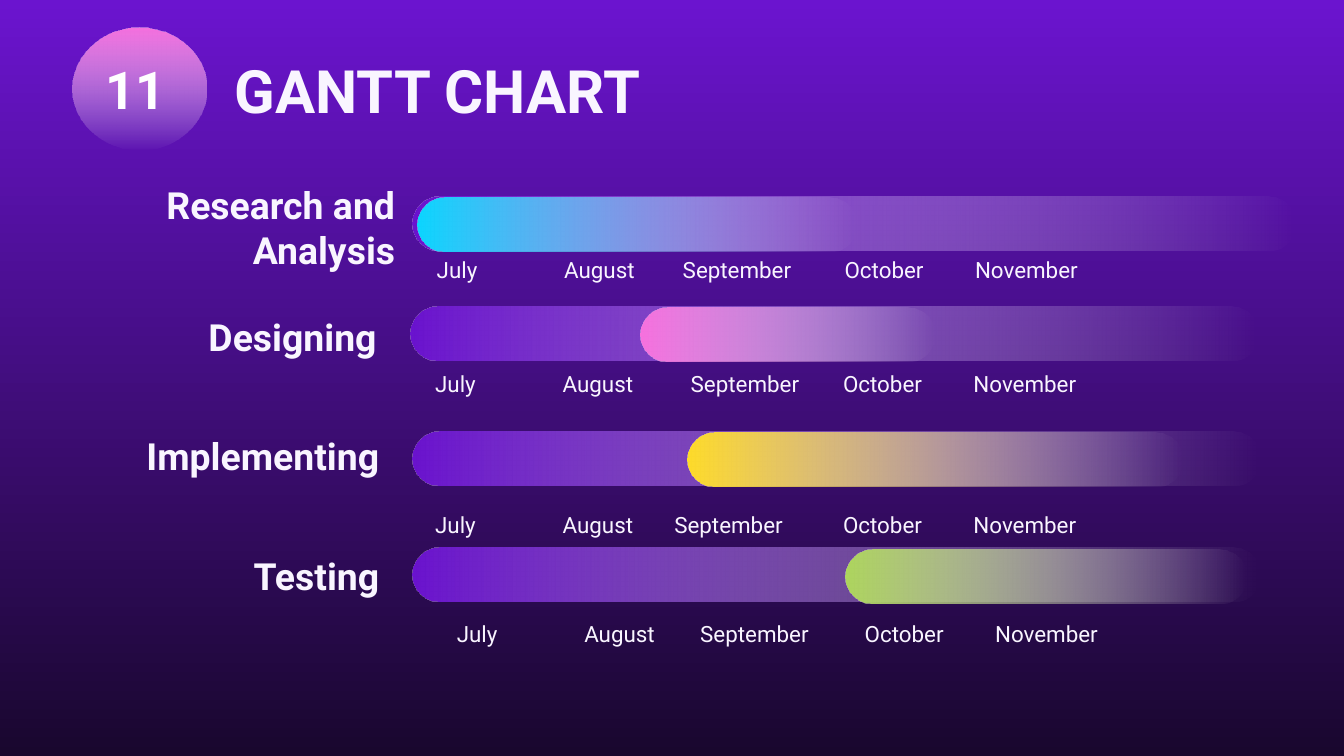
import pptx
import pptx.dml.color
import pptx.enum.shapes
import pptx.enum.text
import pptx.oxml
import pptx.util
from lxml import etree

Cm = pptx.util.Cm
RGBColor = pptx.dml.color.RGBColor
Align = pptx.enum.text.PP_ALIGN
Shape = pptx.enum.shapes.MSO_SHAPE

VIOLET = RGBColor(0x6B, 0x14, 0xCF)
MIDNIGHT = RGBColor(0x19, 0x07, 0x2E)
LAVENDER = RGBColor(0xF9, 0xF5, 0xFF)
WHITE = RGBColor(0xFF, 0xFF, 0xFF)
CYAN = RGBColor(0x0C, 0xD7, 0xFF)
PINK = RGBColor(0xF7, 0x72, 0xDF)
YELLOW = RGBColor(0xFF, 0xDC, 0x2A)
GREEN = RGBColor(0xAE, 0xD5, 0x5E)

MONTHS = ("July", "August", "September", "October", "November")
MONTH_STEP = 2.69
BAR_HEIGHT = 1.02

# name, track (left, top, width), bar (left, width, colour), label (left, top, width), months (left, top, September shift)
TASKS = (
    ("Research and Analysis", (7.8, 3.71, 16.69), (7.9, 8.28, CYAN), (0.56, 3.73, 7.16), (7.37, 4.72, -0.09)),
    ("Designing", (7.75, 5.79, 16.03), (12.1, 5.56, PINK), (1.96, 5.79, 5.41), (7.34, 6.88, 0.09)),
    ("Implementing", (7.8, 8.15, 16.03), (13, 9.35, YELLOW), (2.01, 8.05, 5.41), (7.34, 9.55, -0.22)),
    ("Testing", (7.8, 10.36, 16.03), (15.98, 7.57, GREEN), (2.01, 10.31, 5.41), (7.75, 11.61, -0.14)),
)


def write(box, text, size=12, bold=False, color=LAVENDER, align=Align.LEFT, font="Roboto", indent=0.25):
    """Put one formatted paragraph into a shape."""
    frame = box.text_frame
    frame.word_wrap = True
    frame.vertical_anchor = pptx.enum.text.MSO_ANCHOR.MIDDLE
    frame.margin_left = Cm(indent)
    frame.margin_right = frame.margin_top = frame.margin_bottom = Cm(0.25)
    para = frame.paragraphs[0]
    para.alignment = align
    span = para.add_run()
    span.text = text
    span.font.name = font
    span.font.size = pptx.util.Pt(size)
    span.font.bold = bold
    span.font.color.rgb = color


class GanttSlide:
    """Hold the slide style and draw each kind of element."""

    def __init__(self, page):
        self.page = page

    def gradient(self, fill, start, end, angle, fade=True):
        """Fill from one colour to another, optionally fading out."""
        fill.gradient()
        fill.gradient_angle = angle
        first, last = fill.gradient_stops
        first.color.rgb = start
        last.color.rgb = end
        first.position, last.position = 0, 1
        if fade:
            color = last.color._xFill if hasattr(last.color, "_xFill") else None
            color = last._gs[0] if color is None else color[0]
            etree.SubElement(color, pptx.oxml.ns.qn("a:alpha"), val="0")

    def background(self):
        """Paint the vertical page gradient."""
        self.gradient(self.page.background.fill, VIOLET, MIDNIGHT, 270, fade=False)

    def shape(self, kind, left, top, width, height, color, angle):
        """Add a shape that fades to transparent."""
        shape = self.page.shapes.add_shape(kind, Cm(left), Cm(top), Cm(width), Cm(height))
        shape.shadow.inherit = False
        shape.line.fill.background()
        self.gradient(shape.fill, color, WHITE, angle)
        return shape

    def bar(self, left, top, width, color):
        """Add a fully rounded bar."""
        bar = self.shape(Shape.ROUNDED_RECTANGLE, left, top, width, BAR_HEIGHT, color, 0)
        bar.adjustments[0] = 0.5

    def badge(self, number):
        """Add the round section number."""
        badge = self.shape(Shape.OVAL, 1.37, 0.53, 2.54, 2.29, PINK, 270)
        write(badge, number, size=28, bold=True, color=WHITE)

    def text(self, words, left, top, width, height, parent=None, **style):
        """Add a text box to the page or to a group."""
        shapes = (parent or self.page).shapes
        box = shapes.add_textbox(Cm(left), Cm(top), Cm(width), Cm(height))
        write(box, words, **style)

    def months(self, left, top, shift):
        """Add one grouped row of month names."""
        group = self.page.shapes.add_group_shape()
        for index, month in enumerate(MONTHS):
            wide = month == "September"
            width = 2.84 if wide else 2.54
            start = left + index * MONTH_STEP + (shift - 0.15 if wide else 0)
            self.text(month, start, top, width, 0.74, parent=group, align=Align.CENTER)


def main():
    """Build and save the Gantt slide."""
    deck = pptx.Presentation()
    deck.slide_width, deck.slide_height = Cm(25.4), Cm(14.29)
    slide = GanttSlide(deck.slides.add_slide(deck.slide_layouts[6]))
    slide.background()
    for _, track, _, _, _ in TASKS:
        slide.bar(*track, VIOLET)
    slide.text("GANTT CHART", 3.43, 1.04, 19.23, 1.32, size=32, bold=True, indent=1)
    for name, track, (left, width, color), label, months in TASKS:
        slide.text(name, *label, 1.14, size=20, bold=True, align=Align.RIGHT)
        slide.bar(left, track[1] + 0.02, width, color)
        slide.months(*months)
    slide.badge("11")
    deck.save("out.pptx")


if __name__ == "__main__":
    main()
